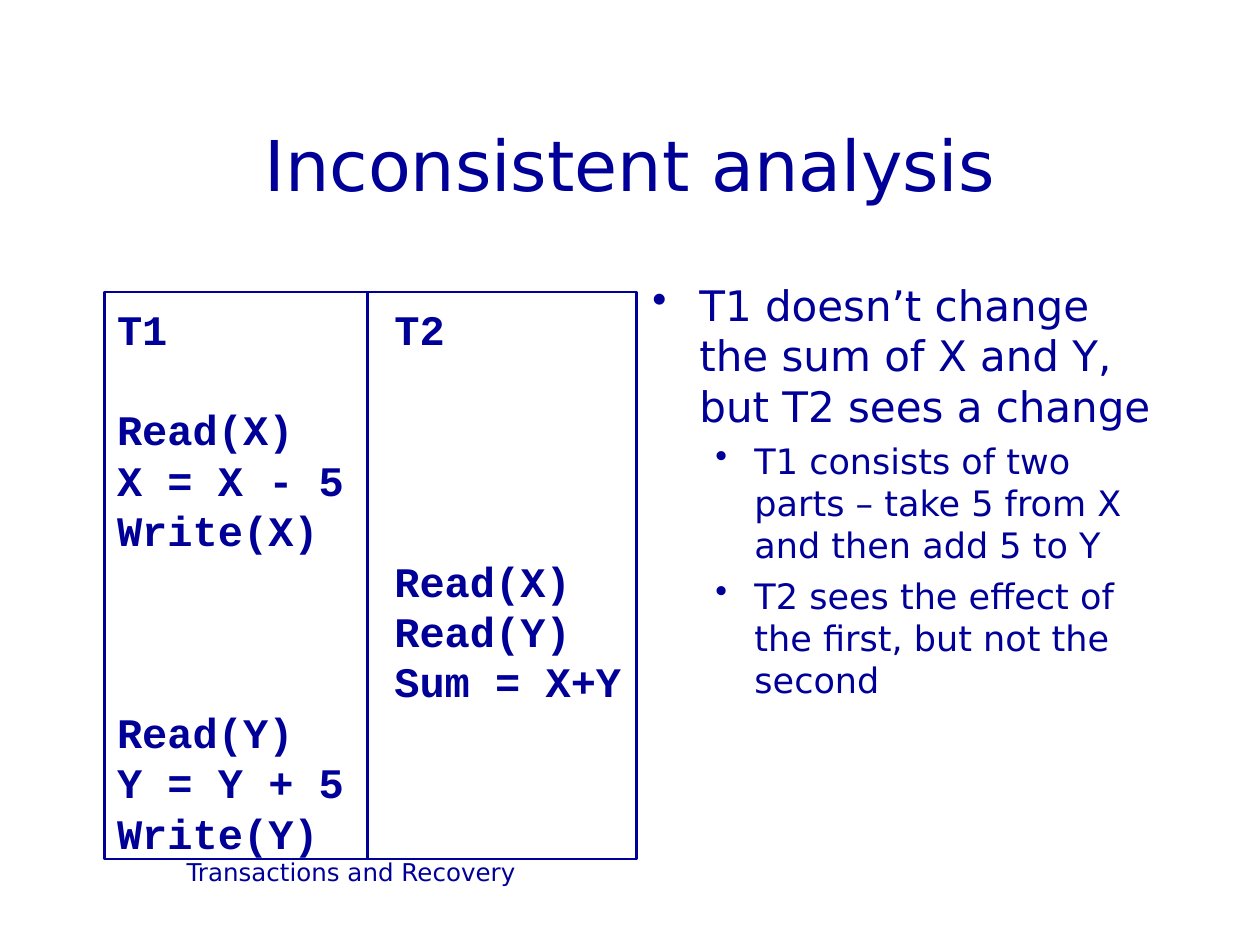
from lxml import etree
from pptx import Presentation
from pptx.dml.color import RGBColor
from pptx.enum.shapes import MSO_CONNECTOR, MSO_SHAPE
from pptx.enum.text import MSO_ANCHOR, PP_ALIGN
from pptx.oxml.ns import qn
from pptx.util import Cm, Pt

RECT = MSO_SHAPE.RECTANGLE
STRAIGHT = MSO_CONNECTOR.STRAIGHT
TOP, MIDDLE = MSO_ANCHOR.TOP, MSO_ANCHOR.MIDDLE
LEFT, CENTER = PP_ALIGN.LEFT, PP_ALIGN.CENTER

COLORS = {"ink": "000099"}
SANS, MONO = "DejaVu Sans", "Courier New"
LINE_PITCH = 1.2
CODE_SIZE = 24
SCHEDULE = [
    ("T1", "T2"),
    ("", ""),
    ("Read(X)", ""),
    ("X = X - 5", ""),
    ("Write(X)", ""),
    ("", "Read(X)"),
    ("", "Read(Y)"),
    ("", "Sum = X+Y"),
    ("Read(Y)", ""),
    ("Y = Y + 5", ""),
    ("Write(Y)", ""),
]
POINTS = [
    (0, "T1 doesn’t change the sum of X and Y, but T2 sees a change"),
    (1, "T1 consists of two parts – take 5 from X and then add 5 to Y"),
    (1, "T2 sees the effect of the first, but not the second"),
]
LEVELS = [
    {"size": 24, "margin": 0.95, "hanging": 0.95, "before": 6},
    {"size": 20, "margin": 2.06, "hanging": 0.79, "before": 5},
]


def ink():
    """Return the single colour used for text and lines."""
    return RGBColor.from_string(COLORS["ink"])


def style_paragraph(paragraph, size, name=SANS, bold=False, align=LEFT, before=0):
    """Format a paragraph with its font, alignment and spacing."""
    layout = {
        "alignment": align,
        "space_before": Pt(before),
        "line_spacing": Pt(size * LINE_PITCH),
    }
    for attribute, value in layout.items():
        setattr(paragraph, attribute, value)
    for attribute, value in {"size": Pt(size), "name": name, "bold": bold}.items():
        setattr(paragraph.font, attribute, value)
    paragraph.font.color.rgb = ink()


def text_frame(shape, anchor=TOP):
    """Prepare the wrapping text frame of a shape."""
    frame = shape.text_frame
    frame.word_wrap = True
    frame.vertical_anchor = anchor
    return frame


def add_caption(slide, box, text, size, anchor=TOP):
    """Place one centred line of text in the box."""
    frame = text_frame(slide.shapes.add_textbox(*box), anchor)
    frame.text = text
    style_paragraph(frame.paragraphs[0], size, align=CENTER)


def add_points(slide, box):
    """Place the bulleted explanation in the box."""
    frame = text_frame(slide.shapes.add_textbox(*box))
    for index, (level, text) in enumerate(POINTS):
        point = frame.paragraphs[0] if index == 0 else frame.add_paragraph()
        look = LEVELS[level]
        point.text = text
        point.level = level
        properties = point._p.get_or_add_pPr()
        properties.set("marL", str(Cm(look["margin"])))
        properties.set("indent", str(-Cm(look["hanging"])))
        etree.SubElement(properties, qn("a:buChar"), char="•")
        style_paragraph(point, look["size"], before=look["before"] if index else 0)


def add_schedule(slide, box):
    """Place the two-column transaction schedule in the box."""
    left, top, width, height = box
    panel = slide.shapes.add_shape(RECT, *box)
    panel.shadow.inherit = False
    panel.fill.background()
    divider_x = left + Cm(5.3)
    divider = slide.shapes.add_connector(
        STRAIGHT, divider_x, top, divider_x, top + height
    )
    etree.SubElement(divider._element.spPr, qn("a:effectLst"))
    for outline in (panel.line, divider.line):
        outline.color.rgb = ink()
        outline.width = Pt(1.5)

    frame = text_frame(panel)
    frame.margin_top, frame.margin_bottom = Cm(0.22), 0
    gap = 0
    for index, (first, second) in enumerate(SCHEDULE):
        if not first and not second:
            gap += CODE_SIZE * LINE_PITCH
            continue
        step = frame.paragraphs[0] if index == 0 else frame.add_paragraph()
        step.text = f"{first}\t{second}" if second else first
        tabs = etree.SubElement(step._p.get_or_add_pPr(), qn("a:tabLst"))
        etree.SubElement(tabs, qn("a:tab"), pos=str(Cm(5.59)), algn="l")
        style_paragraph(step, CODE_SIZE, MONO, bold=True, before=gap)
        gap = 0


def main():
    """Build and save the slide."""
    presentation = Presentation()
    presentation.slide_width, presentation.slide_height = Cm(25.4), Cm(19.05)
    slide = presentation.slides.add_slide(presentation.slide_layouts[6])
    add_caption(
        slide, (Cm(1.9), Cm(17.15), Cm(10.36), Cm(1.27)), "Transactions and Recovery", 14
    )
    add_caption(
        slide, (Cm(1.9), Cm(1.7), Cm(21.6), Cm(3.18)), "Inconsistent analysis", 40, MIDDLE
    )
    add_points(slide, (Cm(12.9), Cm(5.51), Cm(10.6), Cm(11.43)))
    add_schedule(slide, (Cm(2.11), Cm(5.89), Cm(10.72), Cm(11.43)))
    presentation.save("out.pptx")


if __name__ == "__main__":
    main()
